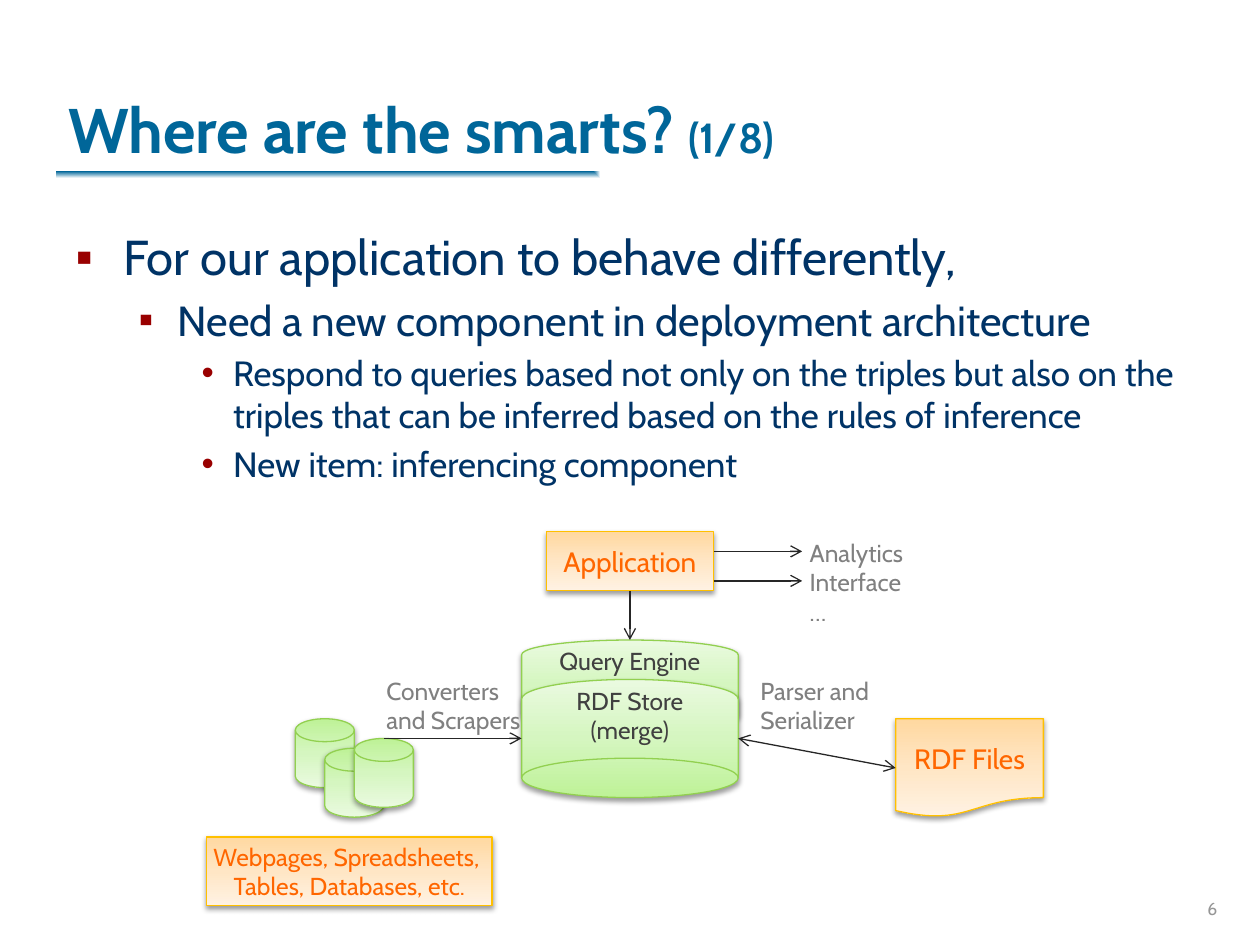
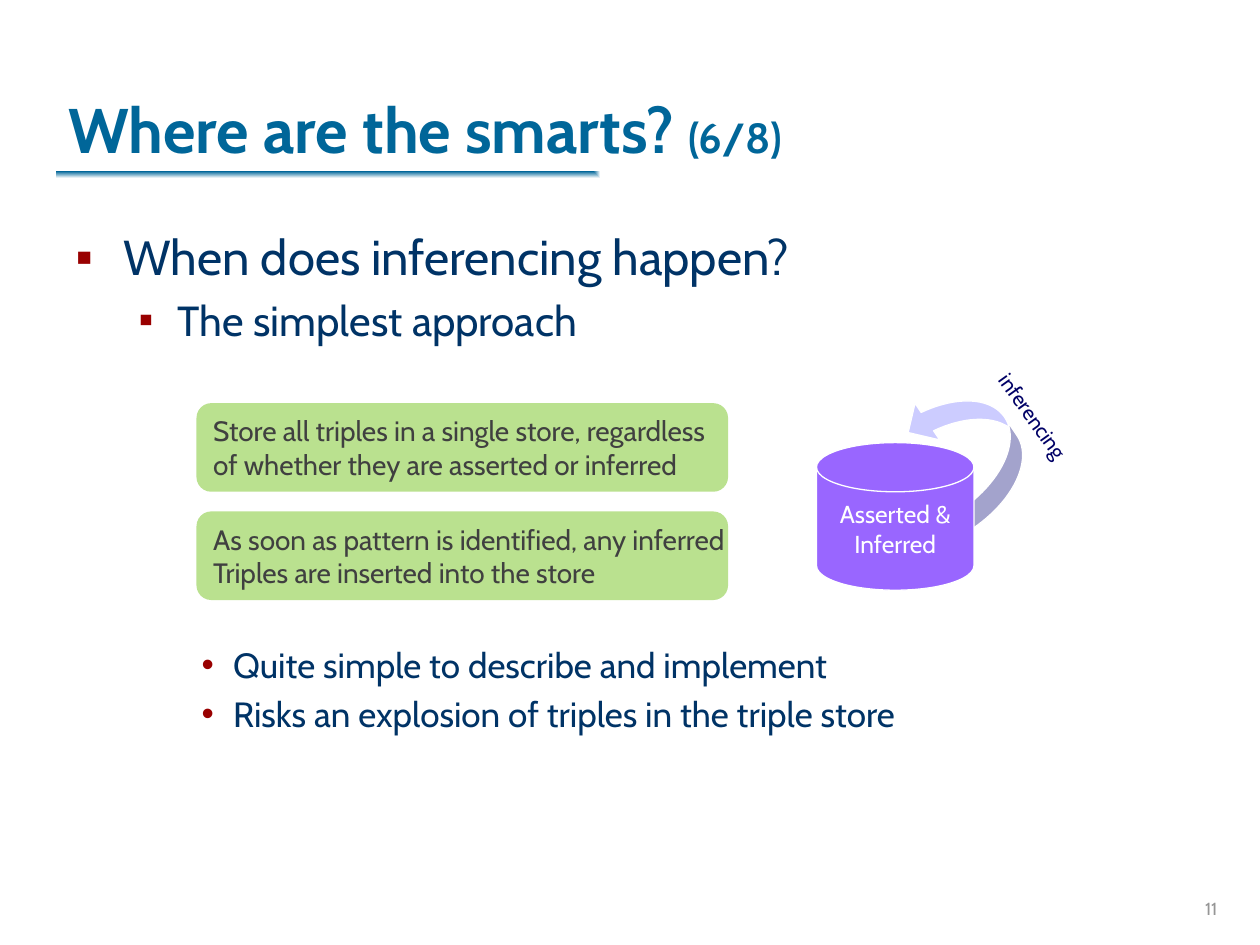
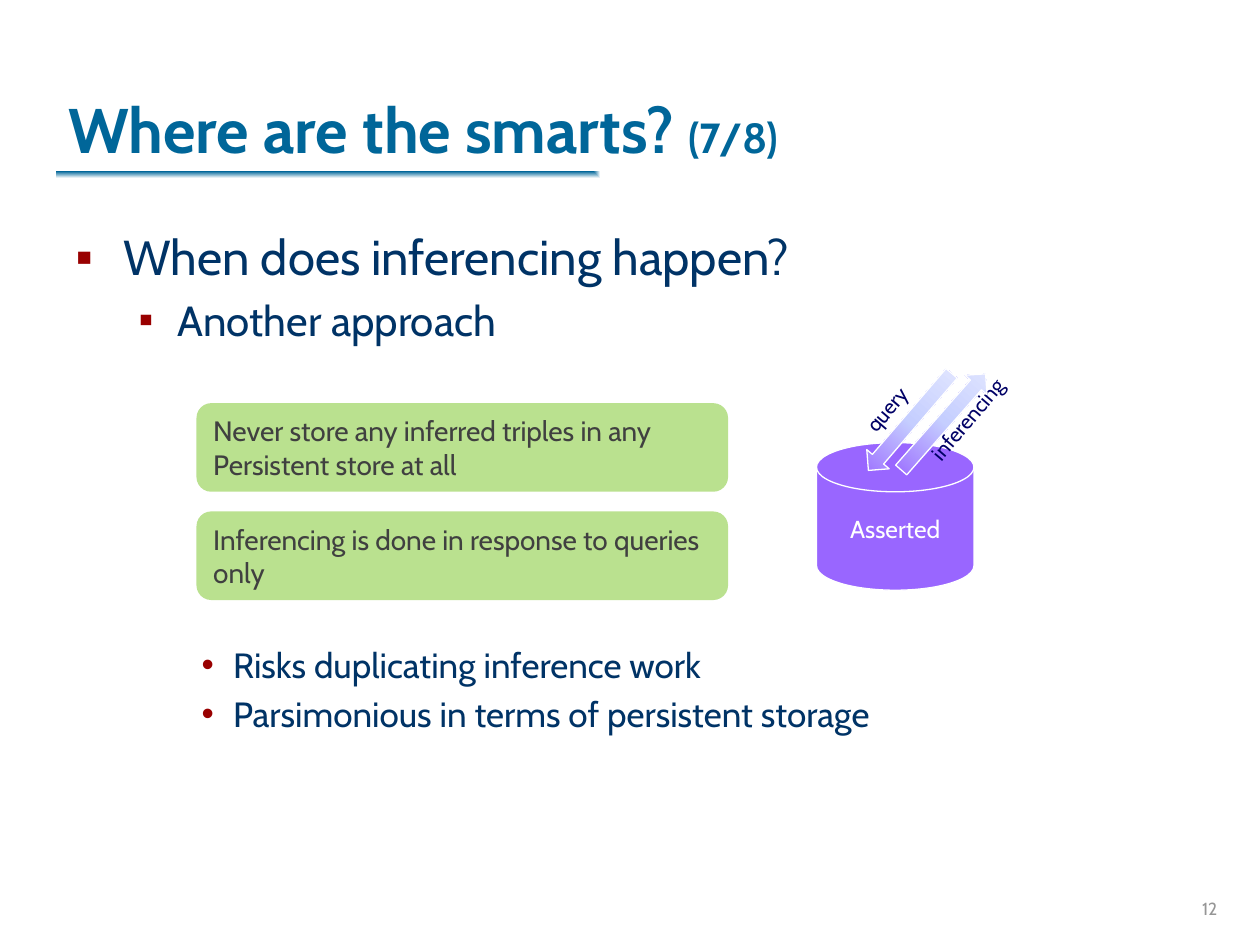
from lxml.etree import SubElement
from pptx import Presentation
from pptx.dml.color import RGBColor
from pptx.enum.shapes import MSO_CONNECTOR, MSO_SHAPE
from pptx.enum.text import MSO_ANCHOR, MSO_AUTO_SIZE, PP_ALIGN
from pptx.oxml import parse_xml
from pptx.oxml.ns import nsdecls, qn
from pptx.util import Inches, Pt

FONT = "Cabin"
CELL = 5 / 64  # grid unit of the diagrams, in inches
HEX = {
    "title": "006699", "body": "003366", "bullet": "990000", "page": "969696",
    "white": "FFFFFF", "ink": "262626", "dark": "404040", "grey": "808080",
    "orange": "FF6600", "gold": "FFC000", "leaf": "92D050", "lime": "BAE18F",
    "violet": "9966FF", "lilac": "CCCCFF", "navy": "000066",
}
GREEN = ["BEF297", "D5F6C0", "EAFAE0"]
PEACH = ["FFD8A0", "FFE6C5", "FFF2E3"]
MAUVE = ["9966FF", "C5CEFF", "E3E7FF"]
# Per list level: bullet, size, left margin, hanging indent
LEVELS = [("▪", 28, 0.38, 0.38), ("▪", 24, 0.81, 0.31), ("•", 20, 1.25, 0.25)]
DISK = MSO_SHAPE.FLOWCHART_MAGNETIC_DISK
LEFT, MID, RIGHT = PP_ALIGN.LEFT, PP_ALIGN.CENTER, PP_ALIGN.RIGHT


def rgb(name):
    return RGBColor.from_string(HEX[name])


# ---- Text ----
def add(para, text, size, color, bold=False):
    run = para.add_run()
    run.text = text
    font = run.font
    font.name, font.size, font.bold = FONT, Pt(size), bold
    font.color.rgb = rgb(color)


def write(frame, text, size, color, align=LEFT, anchor=MSO_ANCHOR.TOP,
          wrap=True):
    frame.word_wrap = wrap
    frame.vertical_anchor = anchor
    for num, line in enumerate(text.split("\n")):
        para = frame.add_paragraph() if num else frame.paragraphs[0]
        para.alignment = align
        add(para, line, size, color)


# ---- Parts on a grid ----
def cells(base, box):
    """Turn a box in grid cells into lengths on the slide."""
    left, top = base
    col, row, wide, high = box
    return [Inches(n) for n in (left + col * CELL, top + row * CELL,
                                wide * CELL, high * CELL)]


def shade(shape, stops, angle=None):
    """Fill with evenly spread stops; without an angle, from the corner."""
    shape.fill.gradient()
    last = len(stops) - 1
    marks = "".join(
        f'<a:gs pos="{100000 * num // last}"><a:srgbClr val="{stop}"/></a:gs>'
        for num, stop in enumerate(stops))
    if angle is None:
        way = ('<a:path path="rect"><a:fillToRect r="100000" b="100000"/>'
               '</a:path>')
    else:
        way = f'<a:lin ang="{angle * 60000}" scaled="0"/>'
    props = shape.fill._xPr
    props.replace(props.find(qn("a:gradFill")), parse_xml(
        f'<a:gradFill {nsdecls("a")} rotWithShape="1">'
        f'<a:gsLst>{marks}</a:gsLst>{way}</a:gradFill>'))


def cast(shape):
    """Give a soft shadow below the shape."""
    effects = shape._element.spPr.find(qn("a:effectLst"))
    effects.append(parse_xml(
        f'<a:outerShdw {nsdecls("a")} blurRad="{Pt(3.1)}" dist="{Pt(1.6)}" '
        'dir="5400000" rotWithShape="0"><a:srgbClr val="000000">'
        '<a:alpha val="38000"/></a:srgbClr></a:outerShdw>'))


def draw(slide, kind, place, fill, line=None, turn=0, angle=90, lift=False):
    shape = slide.shapes.add_shape(kind, *place)
    shape.shadow.inherit = False
    shape.rotation = turn
    if isinstance(fill, list):
        shade(shape, fill, angle)
    else:
        shape.fill.solid()
        shape.fill.fore_color.rgb = rgb(fill)
    if line:
        shape.line.color.rgb = rgb(line)
        shape.line.width = Pt(0.75)
    else:
        shape.line.fill.background()
    if lift:
        cast(shape)
    return shape


def label(slide, place, text, size, color, turn=0, **style):
    box = slide.shapes.add_textbox(*place)
    box.rotation = turn
    write(box.text_frame, text, size, color, **style)
    return box


def arrow(slide, base, start, end, both=False):
    x1, y1, x2, y2 = cells(base, (*start, 0, 0))[:2] + cells(base, (*end, 0, 0))[:2]
    link = slide.shapes.add_connector(MSO_CONNECTOR.STRAIGHT, x1, y1, x2, y2)
    link.line.color.rgb = rgb("ink")
    link.line.width = Pt(0.75)
    stroke = link.line._get_or_add_ln()
    for tip in ["headEnd", "tailEnd"] if both else ["tailEnd"]:
        SubElement(stroke, qn(f"a:{tip}"), type="arrow")
    SubElement(link._element.spPr, qn("a:effectLst"))


# ---- Shared frame: band, title, list, page number ----
def move(shape, *box):
    shape.left, shape.top, shape.width, shape.height = map(Inches, box)


def fill_list(holder, items):
    """Fill the body from (level, text, points of space before)."""
    frame = holder.text_frame
    frame.auto_size = MSO_AUTO_SIZE.NONE
    for num, (level, text, gap) in enumerate(items):
        mark, size, margin, hang = LEVELS[level]
        para = frame.add_paragraph() if num else frame.paragraphs[0]
        para.level = level
        props = para._p.get_or_add_pPr()
        props.set("marL", str(Inches(margin)))
        props.set("indent", str(-Inches(hang)))
        tint = SubElement(props, qn("a:buClr"))
        SubElement(tint, qn("a:srgbClr"), val=HEX["bullet"])
        SubElement(props, qn("a:buChar"), char=mark)
        para.space_before = Pt(gap)
        add(para, text, size, "body")


def frame_slide(deck, part, page, items):
    slide = deck.slides.add_slide(deck.slide_layouts[1])
    band = [Inches(n) for n in (0.45, 1.36, 8.63, 0.11)]
    draw(slide, MSO_SHAPE.RECTANGLE, band, [HEX["title"], HEX["white"]],
         angle=None)
    title, body = slide.shapes.title, slide.placeholders[1]
    move(title, 0.44, 0.12, 8.5, 1.25)
    frame = title.text_frame
    frame.auto_size = MSO_AUTO_SIZE.NONE
    write(frame, "Where are the smarts? ", 36, "title",
          anchor=MSO_ANCHOR.BOTTOM)
    frame.paragraphs[0].runs[0].font.bold = True
    add(frame.paragraphs[0], f"({part}/8)", 24, "title", bold=True)
    move(body, 0.5, 1.75, 8.94, 4.88)
    fill_list(body, items)
    spot = [Inches(n) for n in (7.68, 6.84, 2.08, 0.5)]
    label(slide, spot, str(page), 10, "page", align=RIGHT,
          anchor=MSO_ANCHOR.BOTTOM)
    return slide


# ---- Architecture diagram ----
def show_flow(slide, base):
    def can(box, turn=0):
        draw(slide, DISK, cells(base, box), GREEN, "leaf", turn, lift=True)

    def card(kind, box, text, size):
        shape = draw(slide, kind, cells(base, box), PEACH, "gold", lift=True)
        write(shape.text_frame, text, size, "orange", align=MID,
              anchor=MSO_ANCHOR.MIDDLE, wrap=False)

    # Query engine, store and application
    can((32, 11, 22, 9), 180)
    can((32, 15, 22, 12), 180)
    card(MSO_SHAPE.RECTANGLE, (34.5, 0, 17, 6), "Application", 16)
    arrow(slide, base, (43, 6), (43, 11))
    # Sources
    for col, row in [(9, 19), (12, 22), (15, 21)]:
        can((col, row, 6, 7))
    arrow(slide, base, (18, 21), (32, 21))
    card(MSO_SHAPE.RECTANGLE, (0, 31, 29, 7),
         "Webpages, Spreadsheets, \nTables, Databases, etc.", 14)
    # Files
    card(MSO_SHAPE.FLOWCHART_DOCUMENT, (70, 19, 15, 10), "RDF Files", 16)
    arrow(slide, base, (54, 21), (70, 24), both=True)
    # Outputs
    for row in (2, 5):
        arrow(slide, base, (51.5, row), (60.5, row))
    # Labels
    for box, text, color, align in [
        ((60, 0, 15, 10.4), "Analytics\nInterface\n…", "grey", LEFT),
        ((17, 14, 18, 7.3), "Converters\nand Scrapers", "grey", LEFT),
        ((55, 14, 18, 7.3), "Parser and\nSerializer", "grey", LEFT),
        ((34, 15, 18, 7.3), "RDF Store\n(merge)", "dark", MID),
        ((33, 11, 20, 4.4), "Query Engine", "dark", MID),
    ]:
        label(slide, cells(base, box), text, 14, color, align=align)


# ---- Approach slides: notes at the left, store at the right ----
def show_notes(slide, base, notes):
    for num, note in enumerate(notes):
        shape = draw(slide, MSO_SHAPE.ROUNDED_RECTANGLE,
                     cells(base, (0, 11 * num, 54, 9)), "lime")
        write(shape.text_frame, note, 16, "dark", anchor=MSO_ANCHOR.MIDDLE,
              wrap=False)


def show_store(slide, base, text):
    disk = draw(slide, DISK, cells(base, (0, 4, 16, 15)), "violet", "white")
    write(disk.text_frame, text, 14, "white", align=MID,
          anchor=MSO_ANCHOR.MIDDLE, wrap=False)


def tag(slide, base, box, text, turn):
    label(slide, cells(base, box), text, 12, "navy", turn, align=MID)


def show_loop(slide, base):
    draw(slide, MSO_SHAPE.CURVED_UP_ARROW, cells(base, (8.7, -0.1, 14, 9)),
         "lilac", "white", turn=236)
    show_store(slide, base, "Asserted &\nInferred")
    tag(slide, base, (12.5, -0.6, 19, 3.8), "inferencing", 54.5)


def show_query(slide, base):
    show_store(slide, base, "Asserted")
    tag(slide, base, (8.2, -0.3, 14.2, 3.8), "inferencing", 310.4)
    tag(slide, base, (0, -1.3, 14.2, 3.8), "query", 310.4)
    for col, turn, angle in [(6.4, 311.3, 0), (3, 130.6, 180)]:
        draw(slide, MSO_SHAPE.RIGHT_ARROW, cells(base, (col, 0.4, 13, 3)),
             MAUVE, "white", turn, angle)


def add_approach(deck, part, page, name, notes, points, show):
    first, second = points
    slide = frame_slide(deck, part, page, [
        (0, "When does inferencing happen?", 0), (1, name, 4.8),
        (2, first, 171), (2, second, 4)])
    show_notes(slide, (1.56, 3.2), notes)
    show(slide, (6.48, 3.2))


def main():
    deck = Presentation()
    deck.slide_width, deck.slide_height = Inches(10), Inches(7.5)
    slide = frame_slide(deck, 1, 6, [
        (0, "For our application to behave differently,", 0),
        (1, "Need a new component in deployment architecture", 4.8),
        (2, "Respond to queries based not only on the triples but also on "
            "the triples that can be inferred based on the rules of "
            "inference", 4),
        (2, "New item: inferencing component", 4)])
    show_flow(slide, (1.64, 4.22))
    add_approach(
        deck, 6, 11, "The simplest approach",
        ["Store all triples in a single store, regardless\n"
         "of whether they are asserted or inferred",
         "As soon as pattern is identified, any inferred\n"
         "Triples are inserted into the store"],
        ["Quite simple to describe and implement",
         "Risks an explosion of triples in the triple store"], show_loop)
    add_approach(
        deck, 7, 12, "Another approach",
        ["Never store any inferred triples in any\nPersistent store at all",
         "Inferencing is done in response to queries\nonly"],
        ["Risks duplicating inference work",
         "Parsimonious in terms of persistent storage"], show_query)
    deck.save("out.pptx")


if __name__ == "__main__":
    main()
